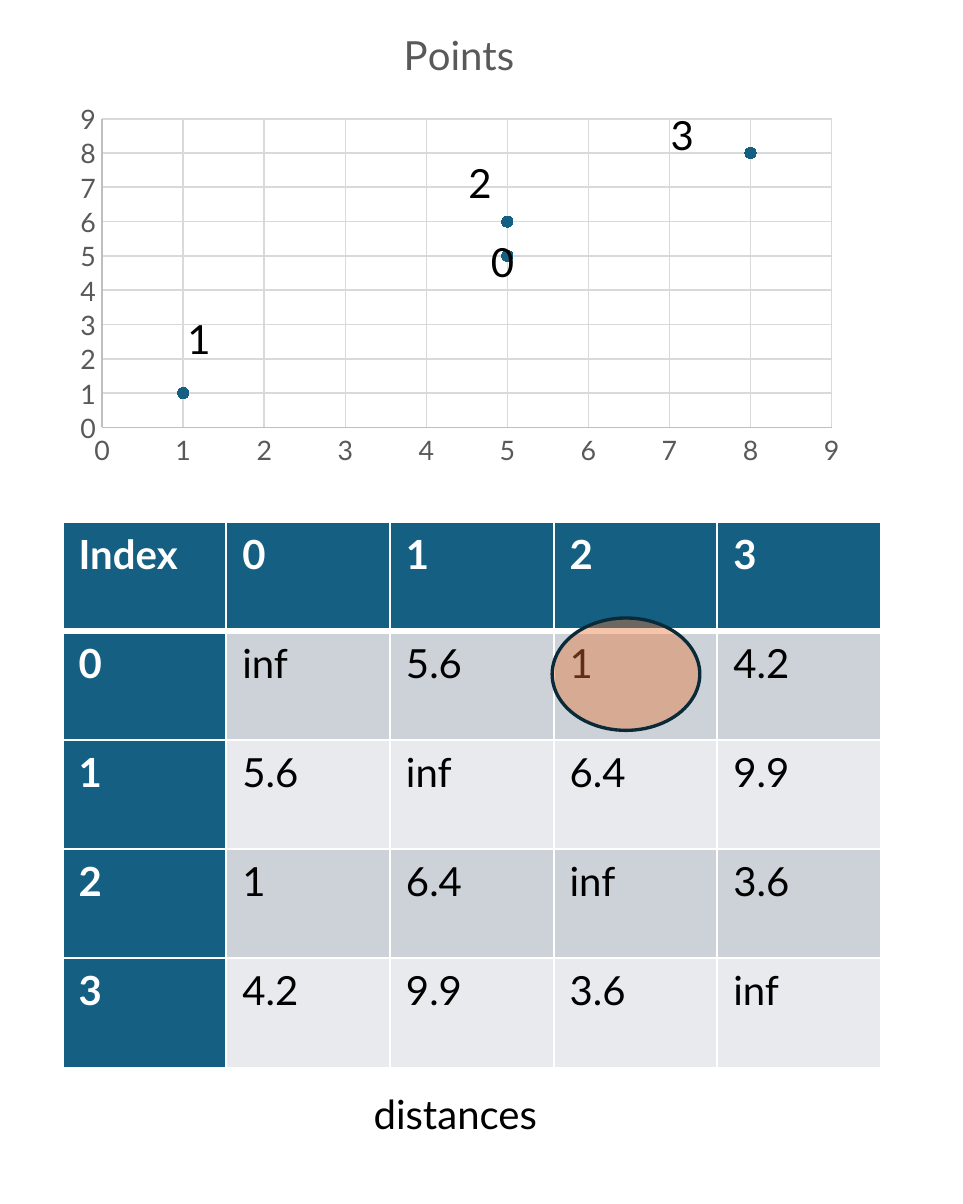
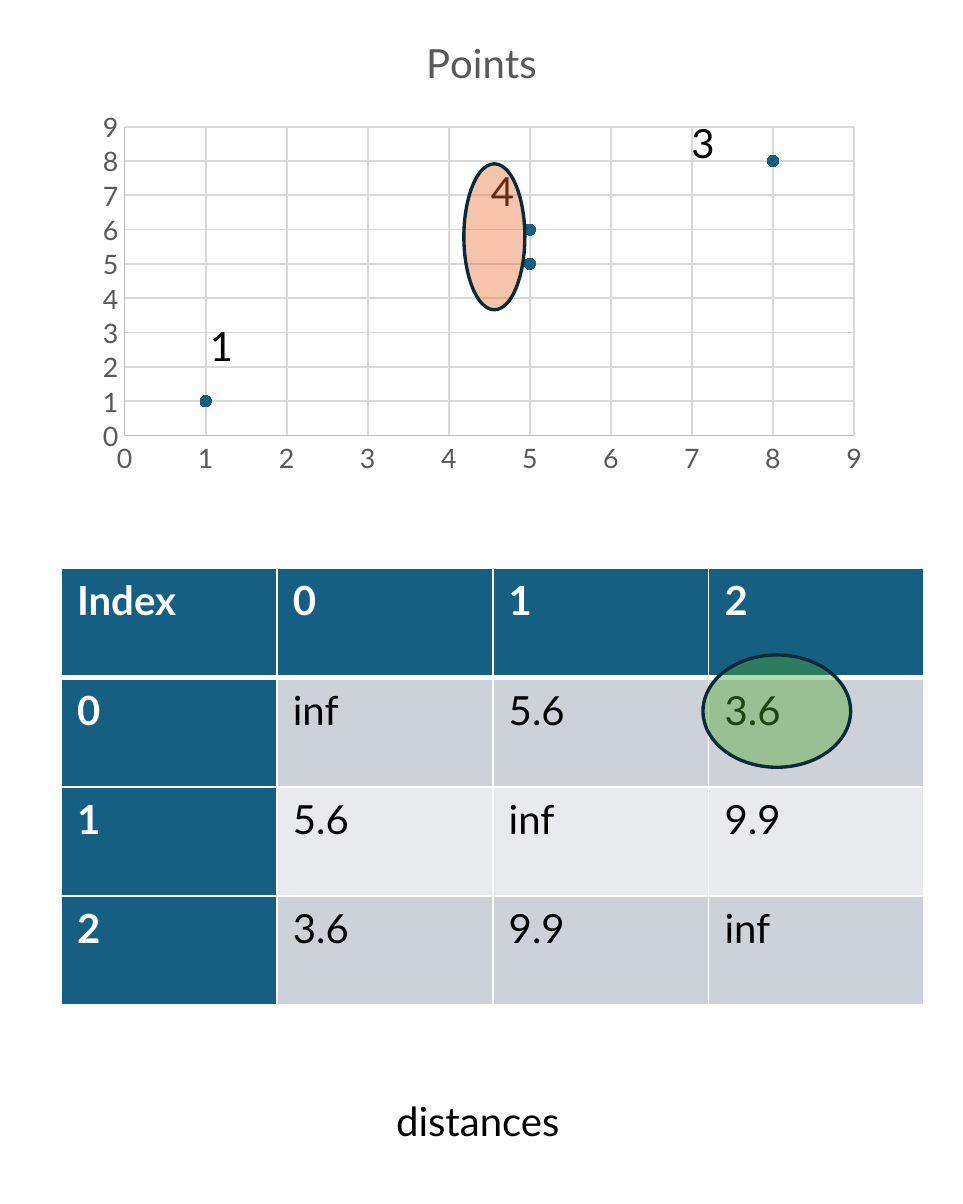
from lxml.etree import SubElement
from pptx import Presentation
from pptx.chart.data import XyChartData
from pptx.dml.color import RGBColor
from pptx.enum.chart import XL_CHART_TYPE as ChartType, XL_MARKER_STYLE as Marker
from pptx.enum.chart import XL_TICK_MARK as TickMark
from pptx.enum.shapes import MSO_SHAPE as Shape
from pptx.enum.text import MSO_AUTO_SIZE as AutoSize
from pptx.oxml import parse_xml
from pptx.oxml.ns import nsdecls, qn
from pptx.util import Inches, Pt

BLUE = RGBColor(0x15, 0x60, 0x82)
NAVY = RGBColor(0x09, 0x2A, 0x39)
ORANGE = RGBColor(0xE9, 0x71, 0x32)
GREEN = RGBColor(0x4E, 0xA7, 0x2E)
BLACK = RGBColor(0, 0, 0)
WHITE = RGBColor(0xFF, 0xFF, 0xFF)
GREY = RGBColor(0x59, 0x59, 0x59)
AXIS_GREY = RGBColor(0xBF, 0xBF, 0xBF)
GRID_GREY = RGBColor(0xD9, 0xD9, 0xD9)
BANDS = (RGBColor(0xCC, 0xD2, 0xD8), RGBColor(0xE8, 0xEA, 0xED))

POINTS = [(1, 1), (5, 5), (5, 6), (8, 8)]
PLOT_AREA = {"x": 0.05, "y": 0.25, "w": 0.92, "h": 0.65}
ROW_HEIGHT = 0.68


class ClusterDeck:
    font = "Lato"

    def __init__(self):
        self.deck = Presentation()
        self.deck.slide_width = Inches(6)
        self.deck.slide_height = Inches(7.5)
        self.page = None

    def add_page(self):
        self.page = self.deck.slides.add_slide(self.deck.slide_layouts[6])

    def style(self, font, size, color, bold=False):
        font.name = self.font
        font.size = Pt(size)
        font.color.rgb = color
        font.bold = bold

    def add_text(self, frame, text, color=BLACK, bold=False):
        span = frame.paragraphs[0].add_run()
        span.text = text
        self.style(span.font, 18, color, bold)

    def label(self, text, left, top, width=0.34):
        box = self.page.shapes.add_textbox(
            Inches(left), Inches(top), Inches(width), Inches(0.4))
        box.text_frame.word_wrap = False
        box.text_frame.auto_size = AutoSize.SHAPE_TO_FIT_TEXT
        self.add_text(box.text_frame, text)

    def highlight(self, color, left, top, width=0.92, height=0.7):
        ring = self.page.shapes.add_shape(
            Shape.OVAL, Inches(left), Inches(top), Inches(width), Inches(height))
        ring.shadow.inherit = False
        ring.fill.solid()
        ring.fill.fore_color.rgb = color
        tint = ring._element.spPr.find(qn("a:solidFill"))[0]
        SubElement(tint, qn("a:alpha"), val="41000")
        ring.line.color.rgb = NAVY
        ring.line.width = Pt(1.5)

    def borders(self, cell, row):
        widths = {"lnL": 1, "lnR": 1,
                  "lnT": 3 if row == 1 else 1,
                  "lnB": 3 if row == 0 else 1}
        properties = cell._tc.get_or_add_tcPr()
        for side, width in widths.items():
            properties.append(parse_xml(
                f'<a:{side} {nsdecls("a")} w="{Pt(width)}"><a:solidFill>'
                f'<a:srgbClr val="{WHITE}"/></a:solidFill></a:{side}>'))

    def distance_table(self, distances, left, top, width):
        count = len(distances)
        indices = [str(index) for index in range(count)]
        rows = [["Index", *indices]]
        rows += [[index, *values] for index, values in zip(indices, distances)]
        table = self.page.shapes.add_table(
            count + 1, count + 1, Inches(left), Inches(top),
            Inches(width), Inches(ROW_HEIGHT * (count + 1))).table
        for row, values in enumerate(rows):
            for column, value in enumerate(values):
                cell = table.cell(row, column)
                heading = row == 0 or column == 0
                self.borders(cell, row)
                cell.fill.solid()
                cell.fill.fore_color.rgb = BLUE if heading else BANDS[(row - 1) % 2]
                self.add_text(cell.text_frame, value, WHITE if heading else BLACK, heading)

    def axis(self, axis):
        axis.minimum_scale, axis.maximum_scale, axis.major_unit = 0, 9, 1
        axis.major_tick_mark = axis.minor_tick_mark = TickMark.NONE
        axis.has_major_gridlines = True
        for line, color in ((axis.format.line, AXIS_GREY),
                            (axis.major_gridlines.format.line, GRID_GREY)):
            line.color.rgb = color
            line.width = Pt(0.75)
        self.style(axis.tick_labels.font, 12, GREY)

    def points_chart(self, left, top):
        data = XyChartData()
        points = data.add_series("Series 1")
        for x, y in POINTS:
            points.add_data_point(x, y)
        chart = self.page.shapes.add_chart(
            ChartType.XY_SCATTER, Inches(left), Inches(top),
            Inches(4.94), Inches(2.96), data).chart
        self.style(chart.font, 10, BLACK)
        chart.has_legend = False
        chart.has_title = True
        title = chart.chart_title.text_frame.paragraphs[0].add_run()
        title.text = "Points"
        self.style(title.font, 18, GREY)
        self.axis(chart.category_axis)
        self.axis(chart.value_axis)
        chart.plots[0].vary_by_categories = False
        series = chart.plots[0].series[0]
        series.smooth = False
        series.format.line.fill.background()
        series.marker.style = Marker.CIRCLE
        series.marker.size = 5
        series.marker.format.fill.solid()
        series.marker.format.fill.fore_color.rgb = BLUE
        series.marker.format.line.color.rgb = BLUE
        self.place_plot(chart)

    def place_plot(self, chart):
        plot_area = chart._chartSpace.chart.plotArea
        for layout in plot_area.findall(qn("c:layout")):
            plot_area.remove(layout)
        settings = {"layoutTarget": "inner", "xMode": "edge", "yMode": "edge", **PLOT_AREA}
        items = "".join(f'<c:{name} val="{value}"/>' for name, value in settings.items())
        plot_area.insert(0, parse_xml(
            f'<c:layout {nsdecls("c")}><c:manualLayout>{items}</c:manualLayout></c:layout>'))


def main():
    style = ClusterDeck()

    style.add_page()
    style.distance_table([
        ["inf", "5.6", "1", "4.2"],
        ["5.6", "inf", "6.4", "9.9"],
        ["1", "6.4", "inf", "3.6"],
        ["4.2", "9.9", "3.6", "inf"],
    ], 0.39, 3.25, 5.1)
    style.points_chart(0.39, 0)
    for text, left, top in (("1", 1.07, 1.91), ("0", 2.96, 1.43),
                            ("2", 2.82, 0.94), ("3", 4.08, 0.64)):
        style.label(text, left, top)
    style.highlight(ORANGE, 3.44, 3.85)
    style.label("distances", 2.23, 6.74, 1.27)

    style.add_page()
    style.distance_table([
        ["inf", "5.6", "3.6"],
        ["5.6", "inf", "9.9"],
        ["3.6", "9.9", "inf"],
    ], 0.38, 3.54, 5.38)
    style.points_chart(0.53, 0.05)
    for text, left, top in (("1", 1.21, 1.95), ("4", 2.96, 0.99), ("3", 4.21, 0.69)):
        style.label(text, left, top)
    style.highlight(GREEN, 4.38, 4.08)
    style.label("distances", 2.37, 6.78, 1.27)
    style.highlight(ORANGE, 2.89, 1.02, 0.38, 0.91)

    style.deck.save("out.pptx")


if __name__ == "__main__":
    main()
